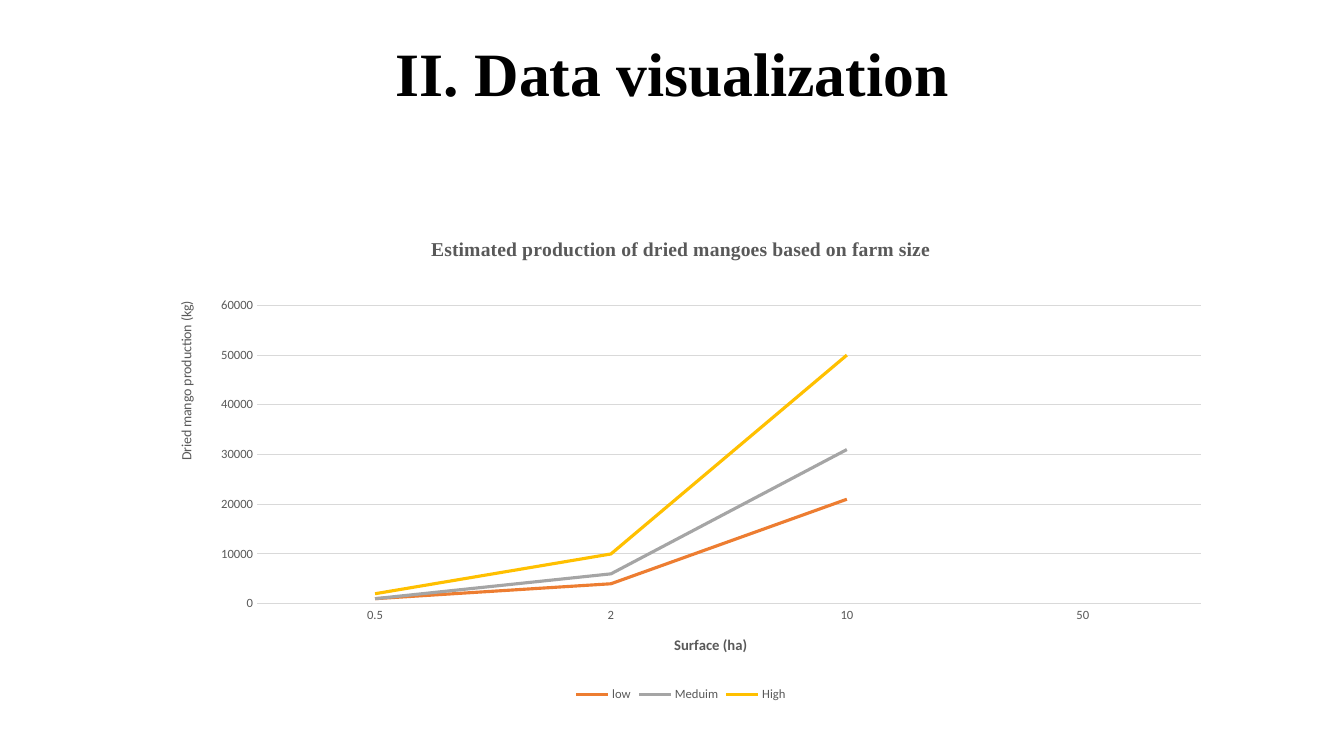
from lxml import etree
from pptx import Presentation
from pptx.chart.data import CategoryChartData
from pptx.dml.color import RGBColor
from pptx.enum.chart import XL_CHART_TYPE, XL_LEGEND_POSITION, XL_TICK_MARK
from pptx.enum.text import MSO_ANCHOR, PP_ALIGN
from pptx.oxml.ns import qn
from pptx.util import Inches, Pt

LINE_CHART = XL_CHART_TYPE.LINE
LEGEND_BOTTOM = XL_LEGEND_POSITION.BOTTOM
NO_TICKS = XL_TICK_MARK.NONE
TOP = MSO_ANCHOR.TOP
CENTER = PP_ALIGN.CENTER

BLACK = RGBColor(0x00, 0x00, 0x00)
GRAY = RGBColor(0x59, 0x59, 0x59)
GRID = RGBColor(0xD9, 0xD9, 0xD9)
ORANGE = RGBColor(0xED, 0x7D, 0x31)
SILVER = RGBColor(0xA5, 0xA5, 0xA5)
YELLOW = RGBColor(0xFF, 0xC0, 0x00)
SERIF = "Times New Roman"
SANS = "Calibri"

CHART_WIDTH = 10.71
CHART_HEIGHT = 4.85
PRODUCTION = [
    ("low", (1000, 4000, 21000, None), ORANGE),
    ("Meduim", (1000, 6000, 31000, None), SILVER),
    ("High", (2000, 10000, 50000, None), YELLOW),
]


def place(element, index, **lengths):
    """Give a chart part a manual layout, in inches from the chart's corner."""
    for old_layout in element.findall(qn("c:layout")):
        element.remove(old_layout)
    layout = etree.Element(qn("c:layout"))
    manual = etree.SubElement(layout, qn("c:manualLayout"))
    if "w" in lengths:
        etree.SubElement(manual, qn("c:layoutTarget")).set("val", "inner")
    for mode in ("xMode", "yMode"):
        etree.SubElement(manual, qn("c:" + mode)).set("val", "edge")
    for name, length in lengths.items():
        fraction = length / (CHART_WIDTH if name in "xw" else CHART_HEIGHT)
        etree.SubElement(manual, qn("c:" + name)).set("val", str(fraction))
    element.insert(index, layout)


def add_title(owner, text, font_name, size, bold, x, y):
    """Title a chart or an axis, and return the title's text frame."""
    title = owner.chart_title if hasattr(owner, "chart_title") else owner.axis_title
    run = title.text_frame.paragraphs[0].add_run()
    run.text = text
    run.font.name = font_name
    run.font.size = Pt(size)
    run.font.bold = bold
    run.font.color.rgb = GRAY
    place(title._element, 1, x=x, y=y)
    return title.text_frame


presentation = Presentation()
presentation.slide_width = Inches(13.33)
presentation.slide_height = Inches(7.5)
slide = presentation.slides.add_slide(presentation.slide_layouts[6])

# Heading
heading = slide.shapes.add_textbox(Inches(0.92), Inches(0.4), Inches(11.5), Inches(1.45))
heading.text_frame.word_wrap = True
heading.text_frame.vertical_anchor = TOP
heading.text_frame.margin_top = Inches(0.03)
paragraph = heading.text_frame.paragraphs[0]
paragraph.alignment = CENTER
paragraph.line_spacing = 0.9
run = paragraph.add_run()
run.text = "II. Data visualization"
run.font.name = SERIF
run.font.size = Pt(44)
run.font.bold = True
run.font.color.rgb = BLACK

# Line chart
chart_data = CategoryChartData()
chart_data.categories = ["0.5", "2", "10", "50"]
for name, values, _ in PRODUCTION:
    chart_data.add_series(name, values)
chart = slide.shapes.add_chart(
    LINE_CHART, Inches(1.4), Inches(2.15), Inches(CHART_WIDTH), Inches(CHART_HEIGHT), chart_data
).chart
chart.font.name = SANS
chart.font.size = Pt(9)
chart.font.color.rgb = GRAY
chart.plots[0].vary_by_categories = False
place(chart._chartSpace.chart.plotArea, 0, x=1.15, y=0.88, w=9.36, h=2.96)

for series, (_, _, color) in zip(chart.plots[0].series, PRODUCTION):
    series.smooth = False
    series.format.line.color.rgb = color
    series.format.line.width = Pt(2.25)

# Axes
surface_axis = chart.category_axis
production_axis = chart.value_axis
for axis in (surface_axis, production_axis):
    axis.major_tick_mark = NO_TICKS
    axis.minor_tick_mark = NO_TICKS
production_axis.minimum_scale = 0
production_axis.maximum_scale = 60000
production_axis.major_unit = 10000
production_axis.format.line.fill.background()
for line in (surface_axis.format.line, production_axis.major_gridlines.format.line):
    line.color.rgb = GRID
    line.width = Pt(0.75)

# Titles and legend
add_title(chart, "Estimated production of dried mangoes based on farm size",
          SERIF, 14, True, 2.84, 0.16)
add_title(surface_axis, "Surface (ha)", SANS, 10.5, True, 5.26, 4.12)
production_title = add_title(production_axis, "Dried mango production (kg)",
                             SANS, 10, False, 0.33, 0.81)
body = production_title._txBody.find(qn("a:bodyPr"))
body.set("rot", "-5400000")
body.set("vert", "horz")
chart.has_legend = True
chart.legend.position = LEGEND_BOTTOM
chart.legend.include_in_layout = False

presentation.save("out.pptx")
